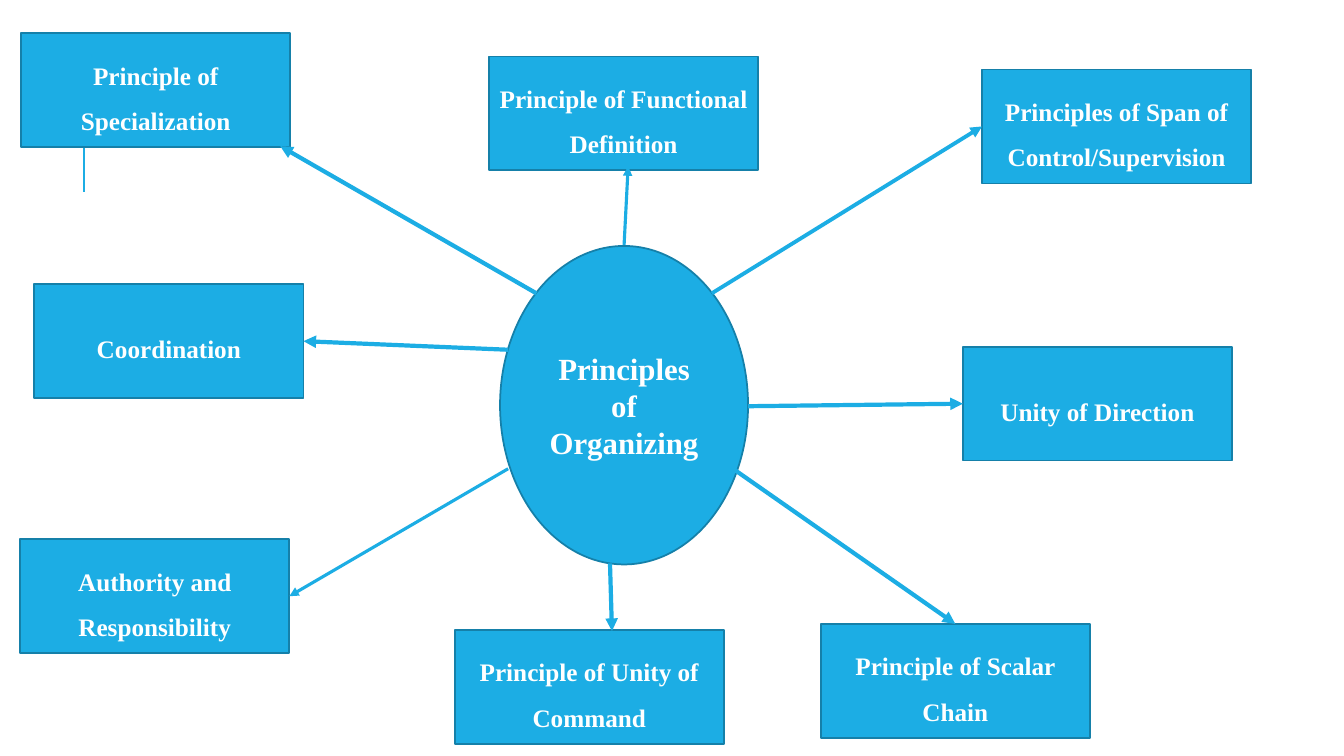
import pptx
import pptx.dml.color
import pptx.enum.shapes
import pptx.enum.text
import pptx.oxml.ns
import pptx.util
from lxml import etree

Inches = pptx.util.Inches
Pt = pptx.util.Pt
SHAPES = pptx.enum.shapes.MSO_SHAPE
BLUE, EDGE, WHITE = "1CADE4", "1580A9", "FFFFFF"
BOX_SIZE = (2.67, 1.13)
FONT = {"name": "Times New Roman", "bold": True}


def paint(color_format, value):
    color_format.rgb = pptx.dml.color.RGBColor.from_string(value)


def add_line(start, end, width, arrow=True):
    line = slide.shapes.add_connector(
        pptx.enum.shapes.MSO_CONNECTOR.STRAIGHT,
        *[Inches(value) for value in (*start, *end)])
    paint(line.line.color, BLUE)
    line.line.width = Pt(width)
    if arrow:
        outline = line.line._get_or_add_ln()
        etree.SubElement(outline, pptx.oxml.ns.qn("a:tailEnd"), type="triangle")
    etree.SubElement(line._element.spPr, pptx.oxml.ns.qn("a:effectLst"))
    return line


deck = pptx.Presentation()
deck.slide_width, deck.slide_height = Inches(13.33), Inches(7.5)
slide = deck.slides.add_slide(deck.slide_layouts[6])

# Short vertical rule behind the first box
add_line((0.83, 1.9), (0.83, 0.9), 1.5, arrow=False)

# Each principle: text, box corner, arrow start, arrow end, arrow width,
# and the box side the arrow joins (None where it misses a side's middle)
principles = [
    ("Principle of Specialization", (0.21, 0.33), (5.32, 2.91), (2.78, 1.45), 3, None),
    ("Principle of Functional Definition", (4.85, 0.56), (6.19, 2.43), (6.23, 1.65), 2.25, None),
    ("Principles of Span of Control/Supervision", (9.74, 0.69), (7.06, 2.91), (9.74, 1.26), 2.75, 1),
    ("Unity of Direction", (9.55, 3.44), (7.42, 4.03), (9.55, 4.01), 3, 1),
    ("Principle of Scalar Chain", (8.14, 6.19), (7.27, 4.65), (9.47, 6.19), 3, 0),
    ("Principle of Unity of Command", (4.51, 6.25), (6.05, 5.59), (6.07, 6.26), 3, None),
    ("Authority and Responsibility", (0.2, 5.35), (5.04, 4.65), (2.87, 5.92), 2.25, 3),
    ("Coordination", (0.34, 2.82), (5.04, 3.47), (3.01, 3.39), 3, 3),
]

# Central ellipse and the boxes around it
nodes = [("Principles of Organizing", SHAPES.OVAL, (4.96, 2.44, 2.46, 3.16), 22, 1.0)]
for text, corner, *_ in principles:
    nodes.append((text, SHAPES.RECTANGLE, corner + BOX_SIZE, 18, 1.5))

boxes = {}
for text, kind, place, size, spacing in nodes:
    box = slide.shapes.add_shape(kind, *[Inches(value) for value in place])
    box.shadow.inherit = False
    box.fill.solid()
    paint(box.fill.fore_color, BLUE)
    paint(box.line.color, EDGE)
    box.line.width = Pt(1.25)
    box.text_frame.word_wrap = True
    box.text_frame.vertical_anchor = pptx.enum.text.MSO_ANCHOR.MIDDLE
    para = box.text_frame.paragraphs[0]
    para.alignment = pptx.enum.text.PP_ALIGN.CENTER
    para.line_spacing = spacing
    span = para.add_run()
    span.text = text
    for name, value in {**FONT, "size": Pt(size)}.items():
        setattr(span.font, name, value)
    paint(span.font.color, WHITE)
    boxes[text] = box

# Arrows from the ellipse to the boxes
for text, corner, start, end, width, side in principles:
    arrow = add_line(start, end, width)
    if side is not None:
        arrow.end_connect(boxes[text], side)

deck.save("out.pptx")
